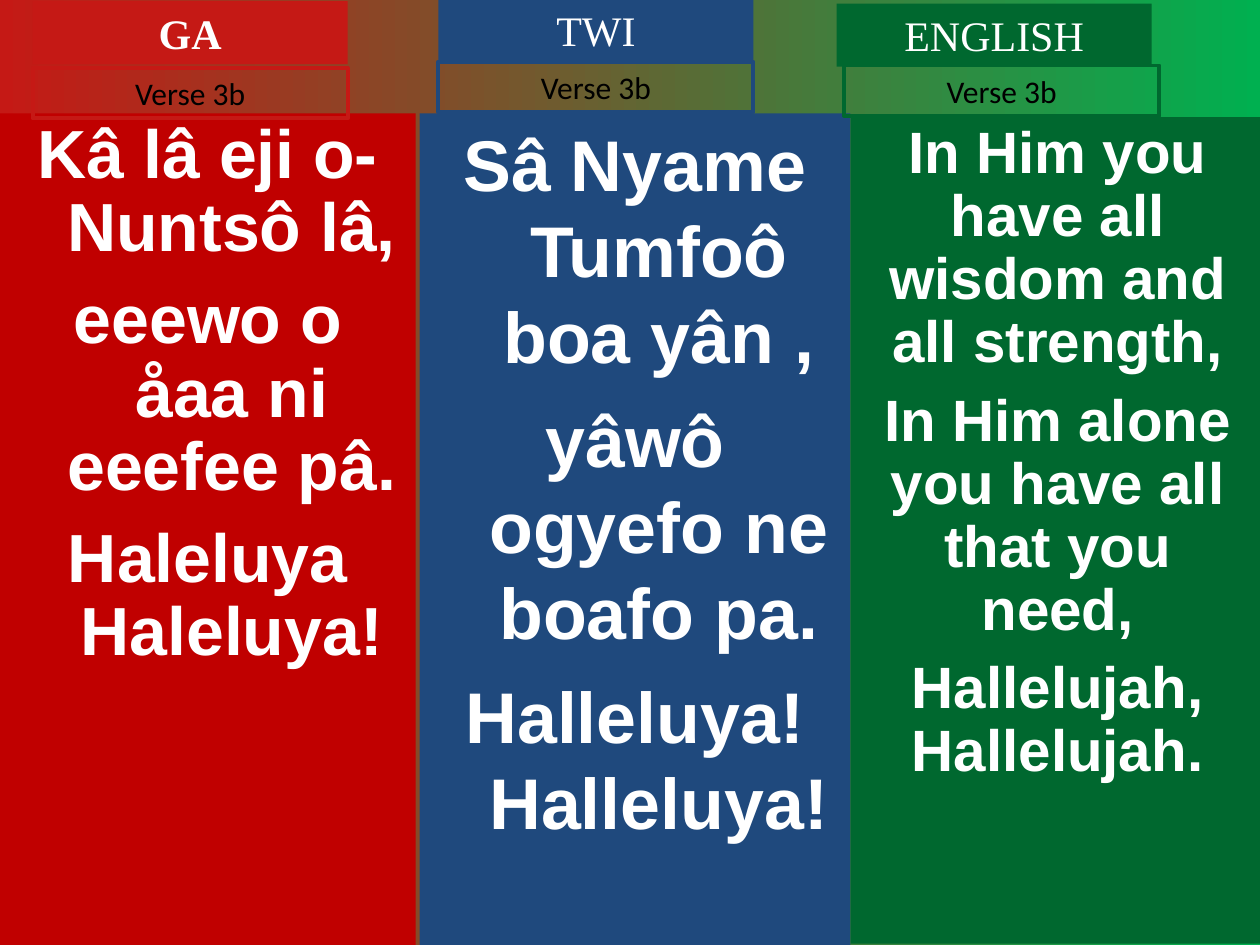
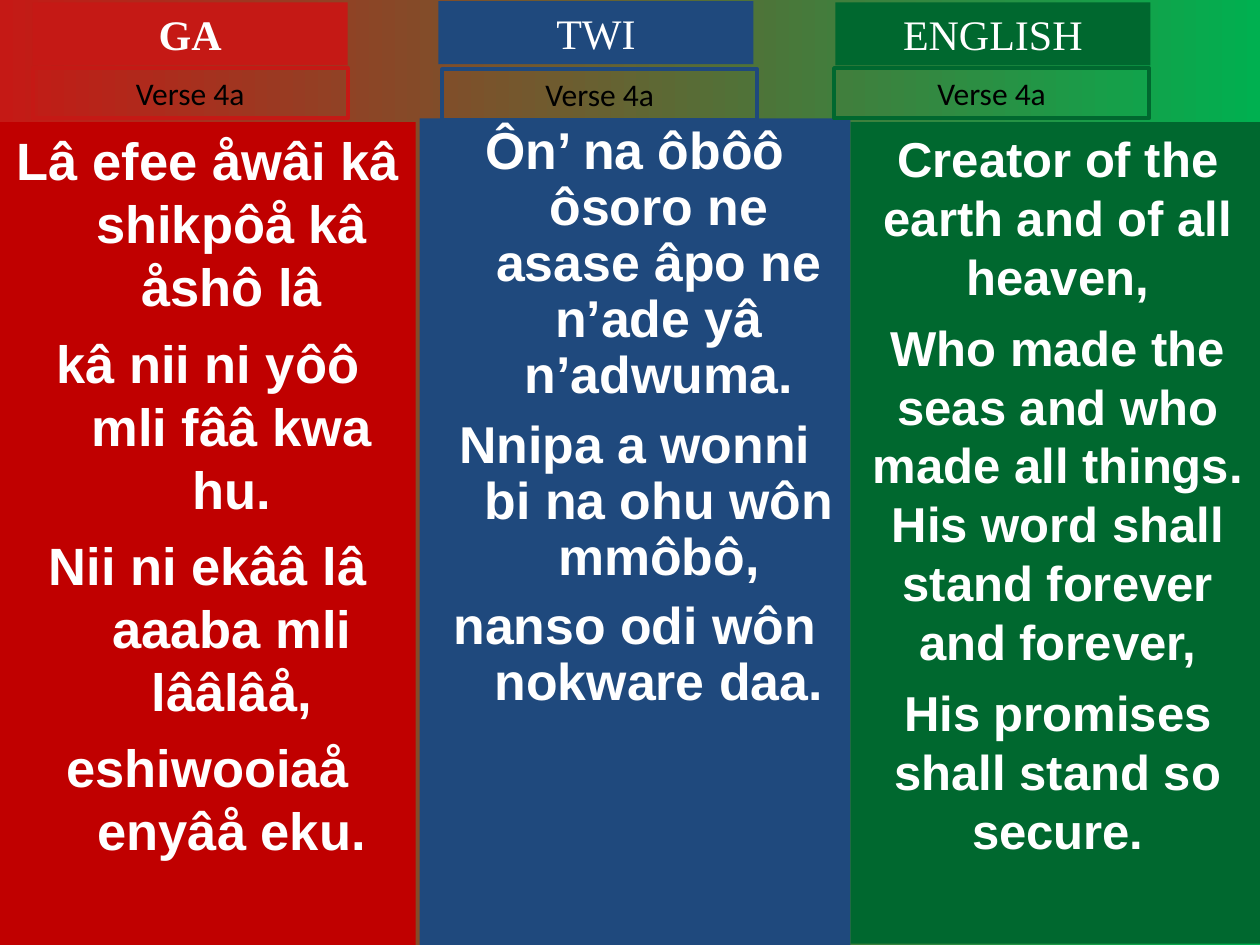
from dataclasses import dataclass

from pptx import Presentation
from pptx import util as u
from pptx.dml.color import RGBColor
from pptx.enum import shapes, text

RED = RGBColor(0xC5, 0x19, 0x15)
DARK = RGBColor(0xC0, 0x00, 0x00)
BLUE = RGBColor(0x1F, 0x49, 0x7D)
GREEN = RGBColor(0x00, 0x68, 0x2F)
LIME = RGBColor(0x00, 0xB0, 0x50)
WHITE = RGBColor(0xFF, 0xFF, 0xFF)
BLACK = RGBColor(0x00, 0x00, 0x00)


@dataclass
class Lang:
    """One language column, the same on every slide."""
    name: str
    tint: RGBColor
    panel: RGBColor
    left: float
    width: float
    hang: float = 0.38
    bold: bool = False


LANGS = (
    Lang("GA", RED, DARK, 0, 3.3, bold=True),
    Lang("TWI", BLUE, BLUE, 3.33, 3.42),
    Lang("ENGLISH", GREEN, GREEN, 6.75, 3.29, hang=0),
)


@dataclass
class Part:
    """Lyrics of one column, with the places that vary by slide."""
    head: tuple
    tag: tuple
    top: float
    end: float
    size: float
    gap: float
    space: float
    lines: tuple


VERSES = (
    ("Verse 3b", (
        Part((0.26, 0.01), (0.26, 0.54), 0.9, 7.5, 38.9, 10.5, 0.9, (
            "Kâ lâ eji o-Nuntsô lâ,",
            "eeewo o åaa ni eeefee pâ.",
            "Haleluya Haleluya!")),
        Part((3.48, -0.01), (3.48, 0.49), 0.9, 7.5, 41, 10.3, 1.0, (
            "Sâ Nyame Tumfoô boa yân ,",
            "yâwô ogyefo ne boafo pa.",
            "Halleluya! Halleluya!")),
        Part((6.64, 0.03), (6.7, 0.52), 0.93, 7.49, 33.3, 9, 0.9, (
            "In Him you have all wisdom and all strength,",
            "In Him alone you have all that you need,",
            "Hallelujah, Hallelujah.")),
    )),
    ("Verse 4a", (
        Part((0.26, 0.02), (0.26, 0.54), 0.97, 7.5, 30, 7.5, 1.0, (
            "Lâ efee åwâi kâ shikpôå kâ åshô lâ",
            "kâ nii ni yôô mli fââ kwa hu.",
            "Nii ni ekââ lâ aaaba mli lââlâå,",
            "eshiwooiaå enyâå eku.")),
        Part((3.48, 0.01), (3.51, 0.55), 0.94, 7.5, 29.6, 8, 0.9, (
            "Ôn’ na ôbôô ôsoro ne asase âpo ne n’ade yâ n’adwuma.",
            "Nnipa a wonni bi na ohu wôn mmôbô,",
            "nanso odi wôn nokware daa.")),
        Part((6.63, 0.02), (6.62, 0.54), 0.97, 7.49, 28, 7, 1.0, (
            "Creator of the earth and of all heaven,",
            "Who made the seas and who made all things. "
            "His word shall stand forever and forever,",
            "His promises shall stand so secure.")),
    )),
)


class Deck:
    def __init__(self):
        self.prs = Presentation()
        self.prs.slide_width = u.Inches(10)
        self.prs.slide_height = u.Inches(7.5)
        self.slide = None

    def page(self):
        """Start a slide on the red to green background."""
        self.slide = self.prs.slides.add_slide(self.prs.slide_layouts[6])
        fill = self.slide.background.fill
        fill.gradient()
        fill.gradient_angle = 0
        for stop, tint in zip(fill.gradient_stops, (RED, LIME)):
            stop.color.rgb = tint

    def box(self, left, top, width, height, fill=None, line=None):
        """Plain rectangle, filled or outlined, with text at the top."""
        box = self.slide.shapes.add_shape(
            shapes.MSO_SHAPE.RECTANGLE,
            *map(u.Inches, (left, top, width, height)))
        box.shadow.inherit = False
        if fill is None:
            box.fill.background()
        else:
            box.fill.solid()
            box.fill.fore_color.rgb = fill
        if line is None:
            box.line.fill.background()
        else:
            box.line.color.rgb = line
            box.line.width = u.Pt(2.25)
        box.text_frame.word_wrap = True
        box.text_frame.vertical_anchor = text.MSO_ANCHOR.TOP
        return box.text_frame

    def label(self, para, words, face, size, color, bold=False):
        """Centred text in one font."""
        para.text = words
        para.alignment = text.PP_ALIGN.CENTER
        font = para.runs[0].font
        font.name, font.size, font.bold = face, u.Pt(size), bold
        font.color.rgb = color

    def head(self, spot, lang):
        """Language name on its colour."""
        frame = self.box(*spot, 2.5, 0.5, fill=lang.tint)
        frame.auto_size = text.MSO_AUTO_SIZE.SHAPE_TO_FIT_TEXT
        self.label(frame.paragraphs[0], lang.name, "Times New Roman", 24,
                   WHITE, lang.bold)

    def tag(self, spot, lang, verse):
        """Verse number in an outlined box."""
        frame = self.box(*spot, 2.5, 0.4, line=lang.tint)
        frame.auto_size = text.MSO_AUTO_SIZE.SHAPE_TO_FIT_TEXT
        self.label(frame.paragraphs[0], verse, "Calibri", 18, BLACK)

    def lyrics(self, lang, part):
        """Tall panel with hanging, centred lines."""
        frame = self.box(lang.left, part.top, lang.width,
                         part.end - part.top, fill=lang.panel)
        for i, words in enumerate(part.lines):
            para = frame.add_paragraph() if i else frame.paragraphs[0]
            self.label(para, words, "Arial", part.size, WHITE, True)
            para.line_spacing = part.space
            para.space_before = u.Pt(part.gap if i else 0)
            props = para._p.get_or_add_pPr()
            props.set("marL", str(u.Inches(lang.hang)))
            props.set("indent", str(-u.Inches(lang.hang)))


def main():
    deck = Deck()
    for verse, parts in VERSES:
        deck.page()
        for lang, part in zip(LANGS, parts):
            deck.lyrics(lang, part)
            deck.head(part.head, lang)
            deck.tag(part.tag, lang, verse)
    deck.prs.save("out.pptx")


if __name__ == "__main__":
    main()
